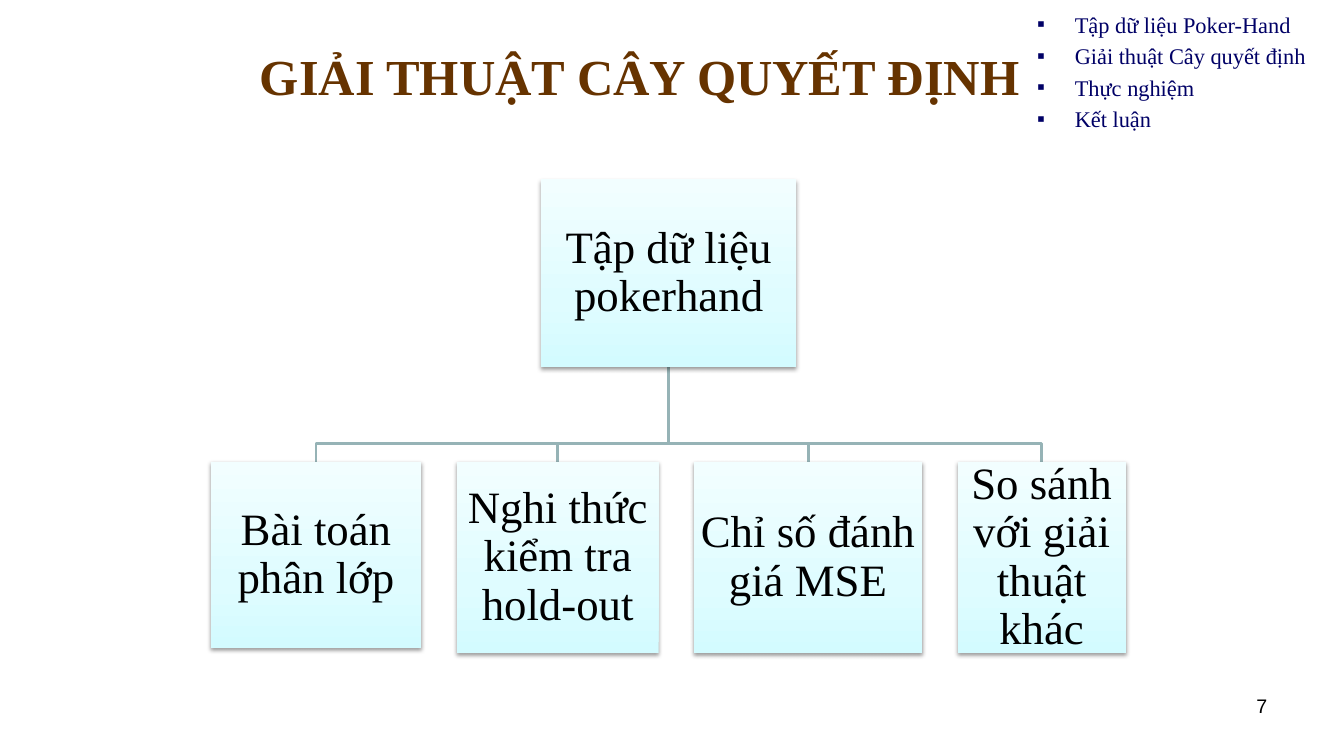
from collections import namedtuple
from copy import deepcopy
from dataclasses import dataclass

from lxml.etree import SubElement
from pptx import Presentation
from pptx.dml.color import RGBColor
from pptx.enum.shapes import MSO_SHAPE
from pptx.enum.text import MSO_ANCHOR, MSO_AUTO_SIZE, PP_ALIGN
from pptx.oxml.ns import qn
from pptx.util import Pt

Box = namedtuple("Box", "left top width height")


@dataclass(frozen=True)
class Theme:
    """Colours, fonts and type sizes of the slide."""
    serif: str = "Times New Roman"
    sans: str = "Arial"
    title: str = "663300"
    agenda: str = "000066"
    ink: str = "000000"
    branch: str = "96B3B6"
    node: tuple = ((0, "D3FBFF"), (0.35, "DFFCFF"), (1, "F2FEFF"))
    title_size: float = 36
    node_size: float = 32
    agenda_size: float = 16
    number_size: float = 14


THEME = Theme()


def points(box):
    """Turn a box into lengths."""
    return [Pt(value) for value in box]


def format_text(frame, size, color, font=THEME.serif, align=PP_ALIGN.LEFT, bold=False):
    """Format every run of a text frame alike."""
    frame.word_wrap = True
    for para in frame.paragraphs:
        para.alignment = align
        for span in para.runs:
            span.font.size = Pt(size)
            span.font.name = font
            span.font.bold = bold
            span.font.color.rgb = RGBColor.from_string(color)


def add_title(page, box, text):
    """Place and format the title placeholder."""
    title = page.shapes.title
    title.left, title.top, title.width, title.height = points(box)
    frame = title.text_frame
    frame.text = text
    frame.auto_size = MSO_AUTO_SIZE.NONE
    frame.vertical_anchor = MSO_ANCHOR.MIDDLE
    format_text(frame, THEME.title_size, THEME.title, align=PP_ALIGN.CENTER, bold=True)


def add_agenda(page, box, topics):
    """List the topics of the talk with square bullets."""
    frame = page.shapes.add_textbox(*points(box)).text_frame
    frame.text = "\n".join(topics)
    format_text(frame, THEME.agenda_size, THEME.agenda)
    for para in frame.paragraphs:
        para.space_before = Pt(THEME.agenda_size * 0.2)
        properties = para._p.get_or_add_pPr()
        properties.set("marL", str(Pt(27)))
        properties.set("indent", str(-Pt(27)))
        SubElement(properties, qn("a:buFont"), typeface=THEME.serif)
        SubElement(properties, qn("a:buChar"), char="▪")


def add_page_number(page, box, number):
    """Write the page number at the right of its box."""
    frame = page.shapes.add_textbox(*points(box)).text_frame
    frame.text = str(number)
    format_text(frame, THEME.number_size, THEME.ink, THEME.sans, PP_ALIGN.RIGHT)


def fill_gradient(shape):
    """Fill a node with the three-stop gradient, rising from its base."""
    shape.fill.gradient()
    shape.fill.gradient_angle = 90
    stop_list = shape._element.spPr.find(qn("a:gradFill")).find(qn("a:gsLst"))
    stop_list.insert(1, deepcopy(stop_list[0]))
    for stop, (position, color) in zip(shape.fill.gradient_stops, THEME.node):
        stop.position = position
        stop.color.rgb = RGBColor.from_string(color)


def add_shadow(shape):
    """Give a node a soft shadow that falls straight down."""
    shape.shadow.inherit = False
    effects = shape._element.spPr.find(qn("a:effectLst"))
    shadow = SubElement(effects, qn("a:outerShdw"), blurRad=str(Pt(3.1)),
                        dist=str(Pt(1.6)), dir="5400000", rotWithShape="0")
    color = SubElement(shadow, qn("a:srgbClr"), val=THEME.ink)
    SubElement(color, qn("a:alpha"), val="38000")


def add_node(page, box, text):
    """Draw one labelled node of the tree."""
    node = page.shapes.add_shape(MSO_SHAPE.RECTANGLE, *points(box))
    fill_gradient(node)
    node.line.fill.background()
    add_shadow(node)
    frame = node.text_frame
    frame.text = text
    frame.vertical_anchor = MSO_ANCHOR.MIDDLE
    frame.margin_left = frame.margin_right = Pt(1.5)
    frame.margin_top = frame.margin_bottom = Pt(1.5)
    format_text(frame, THEME.node_size, THEME.ink, align=PP_ALIGN.CENTER)
    frame.paragraphs[0].line_spacing = 0.9


def add_branch(page, parent, child):
    """Draw the elbow line from a parent node to a child node."""
    start = parent.left + parent.width / 2
    end = child.left + child.width / 2
    bend = child.top - 13
    builder = page.shapes.build_freeform(Pt(start), Pt(parent.top + parent.height), scale=1.0)
    corners = [(start, bend), (end, bend), (end, child.top)]
    builder.add_line_segments([(Pt(x), Pt(y)) for x, y in corners], close=False)
    branch = builder.convert_to_shape()
    branch.fill.background()
    branch.line.color.rgb = RGBColor.from_string(THEME.branch)
    branch.line.width = Pt(2)
    branch.shadow.inherit = False


def add_tree(page, box, root_text, leaves):
    """Draw the root node above a row of evenly spaced leaves."""
    root = Box(box.left + 236.1, box.top, 182.2, 133.9)
    gap = (box.width - sum(width for _, width, _ in leaves)) / (len(leaves) - 1)
    left = box.left
    nodes = [(root, root_text)]
    for text, width, height in leaves:
        nodes.append((Box(left, box.top + 201.6, width, height), text))
        left += width + gap
    for leaf, _ in nodes[1:]:
        add_branch(page, root, leaf)
    for node_box, text in nodes:
        add_node(page, node_box, text)


def build_slide(deck):
    """Compose the decision tree slide."""
    page = deck.slides.add_slide(deck.slide_layouts[5])
    add_title(page, Box(61, 16.5, 792, 74), "GIẢI THUẬT CÂY QUYẾT ĐỊNH")
    add_page_number(page, Box(688.3, 491.8, 224, 37.4), 7)
    add_agenda(page, Box(733.7, 4.3, 216, 88.6), [
        "Tập dữ liệu Poker-Hand", "Giải thuật Cây quyết định", "Thực nghiệm", "Kết luận"])
    add_tree(page, Box(150.5, 128.2, 653.7, 338.4), "Tập dữ liệu pokerhand", [
        ("Bài toán phân lớp", 150.5, 133.2),
        ("Nghi thức kiểm tra hold-out", 144, 136.8),
        ("Chỉ số đánh giá MSE", 162.7, 136.8),
        ("So sánh với giải thuật khác", 120.2, 136.8)])


def main():
    """Build the deck and save it."""
    deck = Presentation()
    deck.slide_width, deck.slide_height = Pt(960), Pt(540)
    build_slide(deck)
    deck.save("out.pptx")


main()
